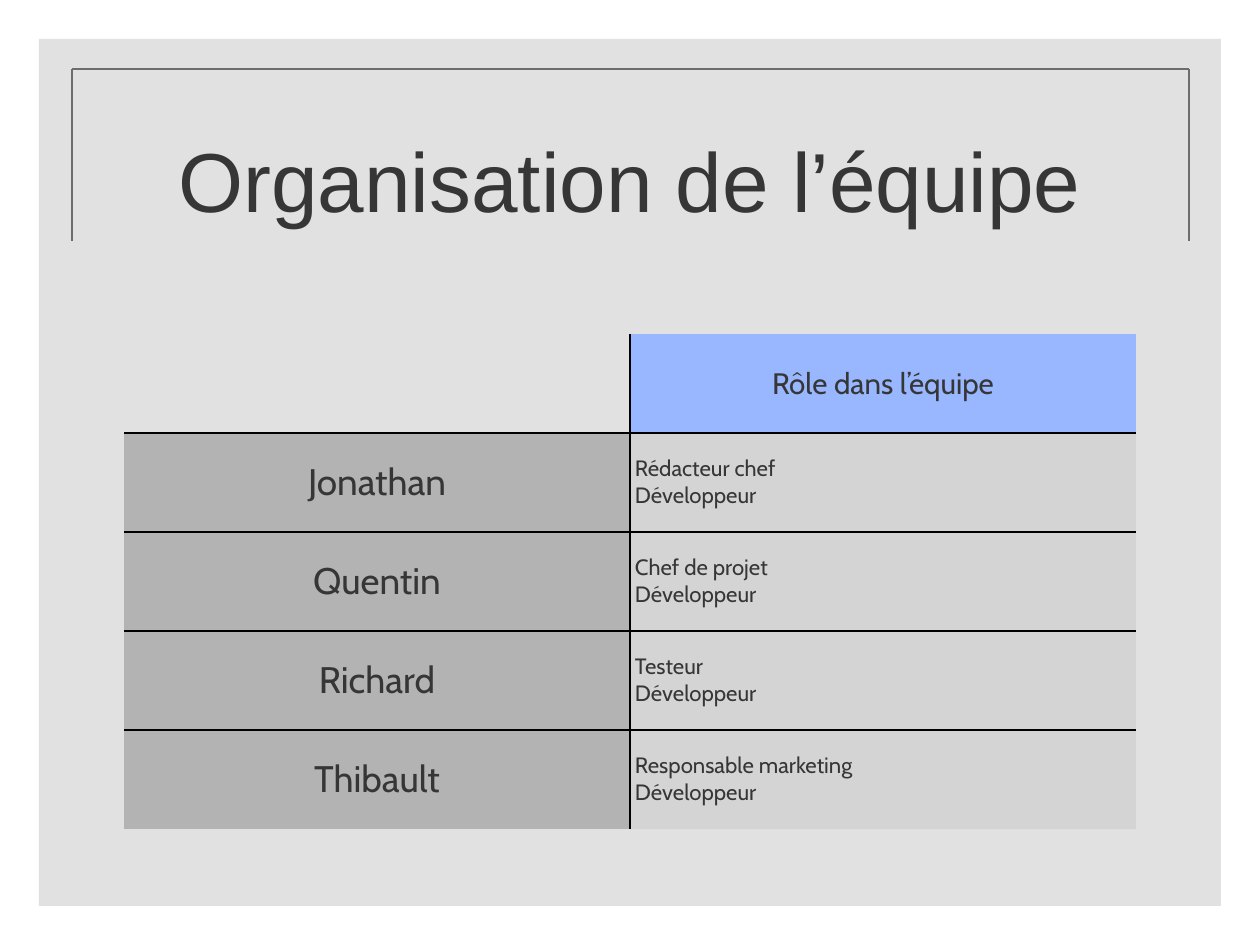
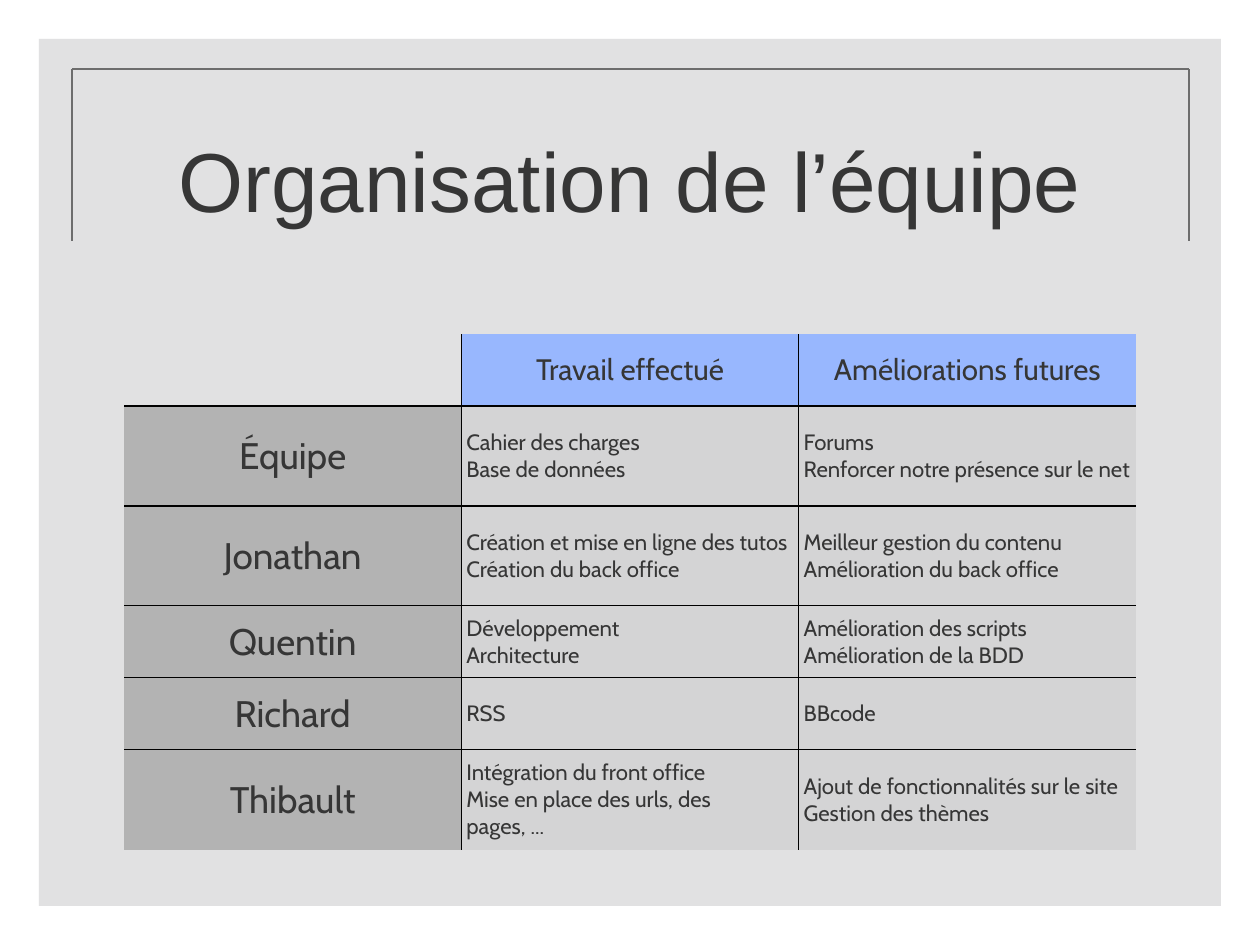
from lxml.etree import SubElement
from pptx import Presentation
from pptx.dml.color import RGBColor
from pptx.enum.shapes import MSO_CONNECTOR, MSO_SHAPE
from pptx.enum.text import MSO_ANCHOR, PP_ALIGN
from pptx.oxml.ns import qn
from pptx.util import Emu, Pt

SLIDE_SIZE = (1260, 945)
PANEL_BOX = (39, 39, 1182, 867)
FRAME_BOX = (72, 69, 1117, 172)
TITLE_BOX = (101, 82, 1058, 203)
TABLE_LEFT, TABLE_TOP, TABLE_WIDTH = 124, 334, 1012

INK = "363636"
VEIL = "B5B5B7"
FRAME = "6D6D6D"
HEADER = "98B7FE"
NAME = "B3B3B3"
RULE = "000000"
TITLE_FONT, TABLE_FONT = "Arial", "Cabin"
TITLE = "Organisation de l’équipe"

ROLES = [
    ("", "Rôle dans l’équipe"),
    ("Jonathan", "Rédacteur chef\nDéveloppeur"),
    ("Quentin", "Chef de projet\nDéveloppeur"),
    ("Richard", "Testeur\nDéveloppeur"),
    ("Thibault", "Responsable marketing\nDéveloppeur"),
]
TASKS = [
    ("", "Travail effectué", "Améliorations futures"),
    ("Équipe", "Cahier des charges\nBase de données",
     "Forums\nRenforcer notre présence sur le net"),
    ("Jonathan", "Création et mise en ligne des tutos\nCréation du back office",
     "Meilleur gestion du contenu\nAmélioration du back office"),
    ("Quentin", "Développement\nArchitecture",
     "Amélioration des scripts\nAmélioration de la BDD"),
    ("Richard", "RSS", "BBcode"),
    ("Thibault",
     "Intégration du front office\nMise en place des urls, des pages, ...",
     "Ajout de fonctionnalités sur le site\nGestion des thèmes"),
]


def px(length):
    """Turn pixels into EMU."""
    return Emu(length * 10320)


def rgb(code):
    """Turn a hex string into a colour."""
    return RGBColor.from_string(code)


def paint(fill, code, opacity=100):
    """Fill with a colour at an opacity in percent."""
    fill.solid()
    fill.fore_color.rgb = rgb(code)
    if opacity < 100:
        colour = fill._xPr.find(qn("a:solidFill"))[0]
        SubElement(colour, qn("a:alpha"), val=str(opacity * 1000))


def write(text_frame, text, font, size, align, line_spacing=None):
    """Write the text, one paragraph for each line."""
    text_frame.text = text
    for paragraph in text_frame.paragraphs:
        paragraph.alignment = align
        paragraph.line_spacing = line_spacing
        paragraph.font.name = font
        paragraph.font.size = Pt(size)
        paragraph.font.color.rgb = rgb(INK)


def set_margins(holder, across, down):
    """Set the inner margins of a cell or text frame."""
    holder.margin_left = holder.margin_right = px(across)
    holder.margin_top = holder.margin_bottom = px(down)


def draw_panel(slide, box):
    """Draw the grey veil behind the content."""
    panel = slide.shapes.add_shape(MSO_SHAPE.RECTANGLE, *map(px, box))
    panel.shadow.inherit = False
    paint(panel.fill, VEIL, 40)
    panel.line.fill.background()


def draw_frame(slide, box):
    """Draw the frame that is open at the bottom."""
    left, top, width, height = box
    right, bottom = left + width, top + height
    for ends in ((left, bottom, left, top), (right, bottom, right, top),
                 (right, top, left, top)):
        side = slide.shapes.add_connector(MSO_CONNECTOR.STRAIGHT, *map(px, ends))
        side.line.color.rgb = rgb(FRAME)
        side.line.width = Pt(1)
        SubElement(side._element.spPr, qn("a:effectLst"))


def draw_title(slide, box, text):
    """Write the centred slide title."""
    title = slide.shapes.add_textbox(*map(px, box)).text_frame
    title.word_wrap = True
    title.vertical_anchor = MSO_ANCHOR.MIDDLE
    set_margins(title, 5, 5)
    write(title, text, TITLE_FONT, 68, PP_ALIGN.CENTER, 0.95)


def rule_cell(cell, inner_edges):
    """Rule the edges shared with other cells and leave the outer ones bare."""
    properties = cell._tc.get_or_add_tcPr()
    for edge, is_inner in zip("LRTB", inner_edges):
        line = SubElement(properties, qn(f"a:ln{edge}"), w=str(Pt(0.96)))
        if is_inner:
            SubElement(SubElement(line, qn("a:solidFill")), qn("a:srgbClr"), val=RULE)
        else:
            SubElement(line, qn("a:noFill"))


def fill_cell(cell, text, row, column):
    """Style a corner, header, name or detail cell."""
    set_margins(cell, 5, 4)
    cell.vertical_anchor = MSO_ANCHOR.MIDDLE
    if not text:
        cell.fill.background()
    elif row == 0:
        paint(cell.fill, HEADER)
        write(cell.text_frame, text, TABLE_FONT, 24, PP_ALIGN.CENTER)
    elif column == 0:
        paint(cell.fill, NAME)
        write(cell.text_frame, text, TABLE_FONT, 30, PP_ALIGN.CENTER)
    else:
        paint(cell.fill, VEIL, 29)
        write(cell.text_frame, text, TABLE_FONT, 18, PP_ALIGN.LEFT)


def draw_team_table(slide, left, top, width, rows, heights):
    """Draw the team table with equal columns."""
    row_count, column_count = len(rows), len(rows[0])
    box = (left, top, width, sum(heights))
    table = slide.shapes.add_table(row_count, column_count, *map(px, box)).table
    table.first_row = table.horz_banding = False
    for column in table.columns:
        column.width = px(width) // column_count
    for r, (texts, height) in enumerate(zip(rows, heights)):
        table.rows[r].height = px(height)
        for c, text in enumerate(texts):
            cell = table.cell(r, c)
            rule_cell(cell, (c > 0, c < column_count - 1, r > 0, r < row_count - 1))
            fill_cell(cell, text, r, c)


def add_team_slide(deck, rows, heights):
    """Add one slide with the shared backdrop, title and a team table."""
    slide = deck.slides.add_slide(deck.slide_layouts[6])
    draw_panel(slide, PANEL_BOX)
    draw_frame(slide, FRAME_BOX)
    draw_title(slide, TITLE_BOX, TITLE)
    draw_team_table(slide, TABLE_LEFT, TABLE_TOP, TABLE_WIDTH, rows, heights)


def main():
    """Build the deck."""
    deck = Presentation()
    deck.slide_width, deck.slide_height = map(px, SLIDE_SIZE)
    add_team_slide(deck, ROLES, [99] * len(ROLES))
    add_team_slide(deck, TASKS, [72, 100, 100, 72, 72, 100])
    deck.save("out.pptx")


if __name__ == "__main__":
    main()
